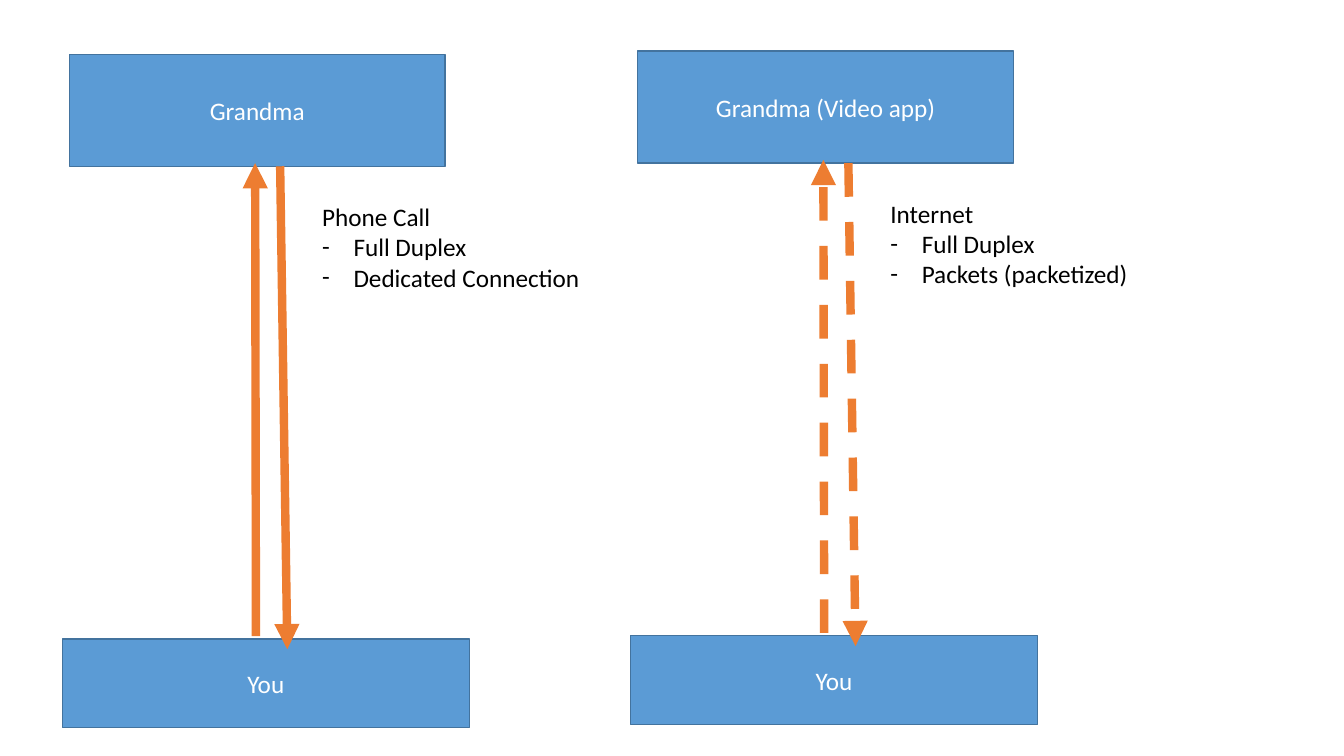
import pptx
import pptx.util
import pptx.oxml
import pptx.oxml.ns
import pptx.dml.color
import pptx.enum.dml
import pptx.enum.shapes
import pptx.enum.text
from pptx.util import Cm, Pt

COLORS = {"box": "5B9BD5", "edge": "43739E", "arrow": "ED7D31", "light": "FFFFFF", "dark": "000000"}
FONT = "Calibri"

DIAGRAMS = [
    {"x": 0, "y": 0, "top": "Grandma", "bottom": "You", "dashed": False, "note_width": 7.09,
     "note": ["Phone Call", "Full Duplex", "Dedicated Connection"]},
    {"x": 14.32, "y": -0.08, "top": "Grandma (Video app)", "bottom": "You", "dashed": True, "note_width": 6.55,
     "note": ["Internet", "Full Duplex", "Packets (packetized)"]},
]
BOXES = {"top": (1.75, 1.37, 9.47, 2.82), "bottom": (1.57, 16.1, 10.26, 2.24)}
ARROWS = [(7.06, 4.19, 7.24, 16.36), (6.45, 16.03, 6.43, 4.11)]
NOTE = (7.87, 4.95, 2.57)
INDENT = Cm(0.79)


def rgb(name):
    return pptx.dml.color.RGBColor.from_string(COLORS[name])


def add_xml(parent, tag, **attrs):
    el = pptx.oxml.parse_xml(f"<a:{tag} {pptx.oxml.ns.nsdecls('a')}/>")
    for key, value in attrs.items():
        el.set(key, value)
    parent.append(el)


def style_text(p, color):
    for r in p.runs:
        r.font.name = FONT
        r.font.size = Pt(18)
        r.font.color.rgb = rgb(color)


def add_box(s, text, x, y, w, h):
    sp = s.shapes.add_shape(pptx.enum.shapes.MSO_SHAPE.RECTANGLE, Cm(x), Cm(y), Cm(w), Cm(h))
    sp.shadow.inherit = False
    sp.fill.solid()
    sp.fill.fore_color.rgb = rgb("box")
    sp.line.color.rgb = rgb("edge")
    sp.line.width = Pt(1)
    tf = sp.text_frame
    tf.text = text
    tf.vertical_anchor = pptx.enum.text.MSO_ANCHOR.MIDDLE
    p = tf.paragraphs[0]
    p.alignment = pptx.enum.text.PP_ALIGN.CENTER
    style_text(p, "light")


def add_arrow(s, x1, y1, x2, y2, dashed):
    line = s.shapes.add_connector(pptx.enum.shapes.MSO_CONNECTOR.STRAIGHT, Cm(x1), Cm(y1), Cm(x2), Cm(y2))
    line.line.color.rgb = rgb("arrow")
    line.line.width = Pt(6)
    if dashed:
        line.line.dash_style = pptx.enum.dml.MSO_LINE.DASH
    add_xml(line.line._get_or_add_ln(), "tailEnd", type="triangle")
    add_xml(line._element.spPr, "effectLst")


def add_note(s, lines, x, y, w, h):
    tf = s.shapes.add_textbox(Cm(x), Cm(y), Cm(w), Cm(h)).text_frame
    tf.text = "\n".join(lines)
    tf.word_wrap = False
    tf.auto_size = pptx.enum.text.MSO_AUTO_SIZE.SHAPE_TO_FIT_TEXT
    for i, p in enumerate(tf.paragraphs):
        style_text(p, "dark")
        if i:
            pPr = p._p.get_or_add_pPr()
            pPr.set("marL", str(INDENT))
            pPr.set("indent", str(-INDENT))
            add_xml(pPr, "buFont", typeface=FONT)
            add_xml(pPr, "buChar", char="-")


prs = pptx.Presentation()
prs.slide_width, prs.slide_height = Cm(33.87), Cm(19.05)
s = prs.slides.add_slide(prs.slide_layouts[6])

for d in DIAGRAMS:
    dx, dy = d["x"], d["y"]
    for end, (x, y, w, h) in BOXES.items():
        add_box(s, d[end], x + dx, y + dy, w, h)
    for x1, y1, x2, y2 in ARROWS:
        add_arrow(s, x1 + dx, y1 + dy, x2 + dx, y2 + dy, d["dashed"])
    x, y, h = NOTE
    add_note(s, d["note"], x + dx, y + dy, d["note_width"], h)

prs.save("out.pptx")
